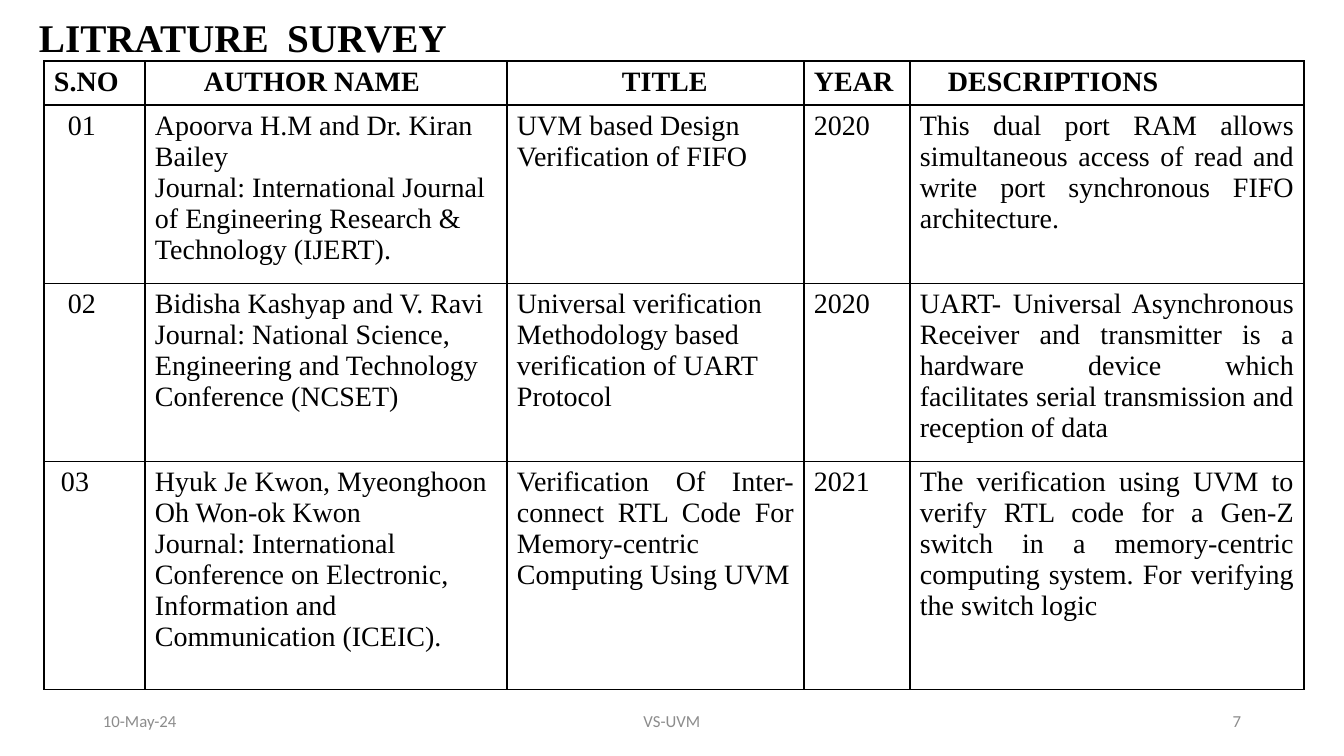
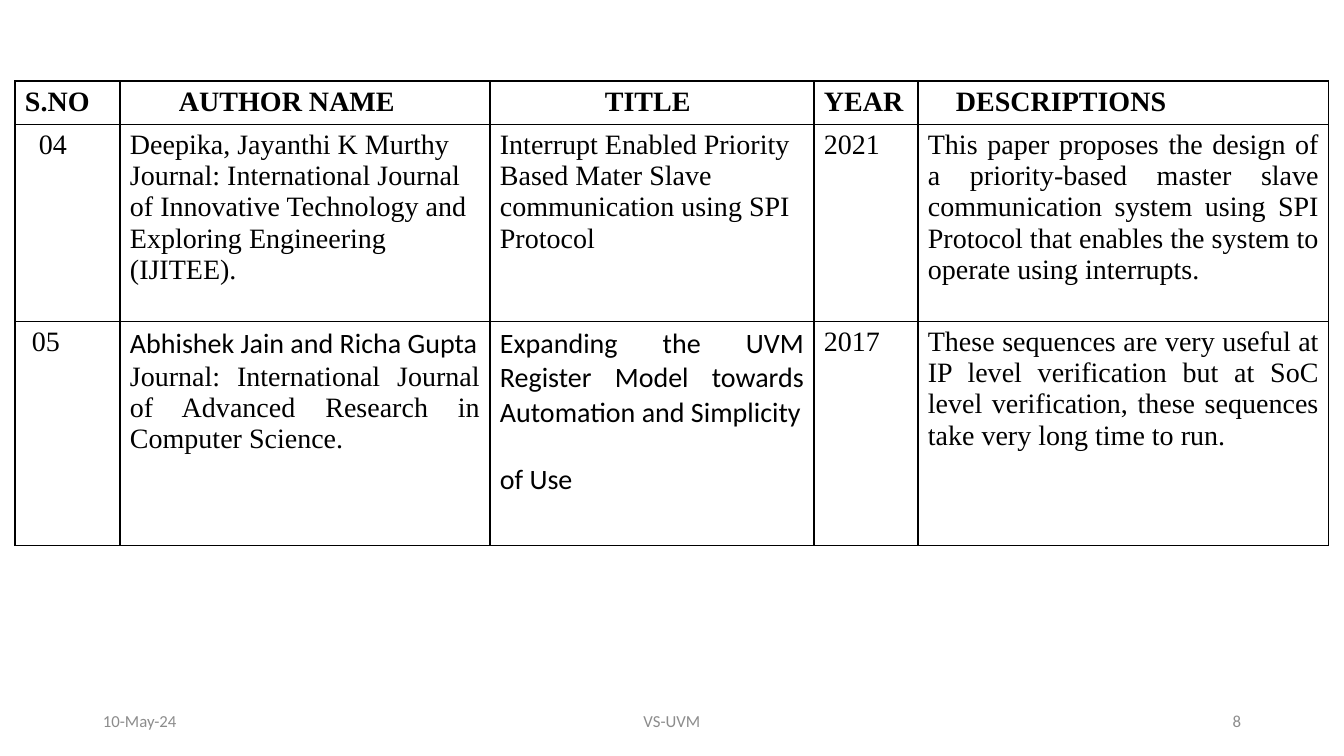
from lxml import etree
from pptx import Presentation
from pptx.dml.color import RGBColor
from pptx.enum.text import MSO_ANCHOR, PP_ALIGN
from pptx.oxml.ns import qn
from pptx.util import Emu, Pt

# Shared style
SERIF, SANS = "Times New Roman", "Calibri"
BLACK, WHITE, GREY = "000000", "FFFFFF", "8C8C8C"
LEFT, CENTER, RIGHT, JUSTIFY = PP_ALIGN.LEFT, PP_ALIGN.CENTER, PP_ALIGN.RIGHT, PP_ALIGN.JUSTIFY
SLIDE_W, SLIDE_H = 1344, 756
CELL_MARGIN = 10
FIRST_PAGE = 7

# Content: a cell is a string or a list of (text, format) paragraphs
HEADERS = ["S.NO", "AUTHOR NAME", "TITLE", "YEAR", "DESCRIPTIONS"]
HEADER_INDENTS = [0, 49, 105, 0, 28]
NUMBER_INDENTS = {"01": 14, "02": 14, "03": 7, "04": 14, "05": 7}

SLIDES = [
    {
        "title": "LITRATURE SURVEY ",
        "at": (44, 61),
        "cols": [101, 362, 297, 106, 394],
        "rows": [44, 166, 165, 228],
        "papers": [
            ["01",
             [("Apoorva H.M and Dr. Kiran Bailey", {}),
              ("Journal: International Journal of Engineering Research & Technology (IJERT).", {})],
             "UVM based Design Verification of FIFO",
             "2020",
             "This dual port RAM allows simultaneous access of read and write port "
             "synchronous FIFO architecture."],
            ["02",
             [("Bidisha Kashyap and V. Ravi", {}),
              ("Journal: National Science, Engineering and Technology Conference (NCSET)", {})],
             "Universal verification Methodology based verification of UART Protocol",
             "2020",
             "UART- Universal Asynchronous Receiver and transmitter is a hardware device "
             "which facilitates serial transmission and reception of data"],
            ["03",
             [("Hyuk Je Kwon, Myeonghoon Oh Won-ok Kwon", {}),
              ("Journal: International Conference on Electronic, Information and "
               "Communication (ICEIC).", {})],
             [("Verification Of Inter-connect RTL Code For Memory-centric Computing Using UVM",
               {"align": JUSTIFY})],
             "2021",
             "The verification using UVM to verify RTL code for a Gen-Z switch in a "
             "memory-centric computing system. For verifying the switch logic"],
        ],
    },
    {
        "title": None,
        "at": (15, 81),
        "cols": [105, 370, 324, 104, 411],
        "rows": [42, 197, 224],
        "papers": [
            ["04",
             [("Deepika, Jayanthi K Murthy", {}),
              ("Journal: International Journal of Innovative Technology and Exploring "
               "Engineering (IJITEE).", {})],
             "Interrupt Enabled Priority Based Mater Slave communication using SPI Protocol",
             "2021",
             "This paper proposes the design of a priority-based master slave communication "
             "system using SPI Protocol that enables the system to operate using interrupts."],
            ["05",
             [("Abhishek Jain and Richa Gupta", {"font": SANS}),
              ("Journal: International Journal of Advanced Research in Computer Science.",
               {"align": JUSTIFY})],
             [("Expanding the UVM Register Model towards Automation and Simplicity",
               {"font": SANS, "align": JUSTIFY}),
              ("of Use", {"font": SANS, "before": 24})],
             "2017",
             "These sequences are very useful at IP level verification but at SoC level "
             "verification, these sequences take very long time to run."],
        ],
    },
]


def px(n):
    return Emu(round(n * 914400 / 100.8))


def rgb(value):
    return RGBColor.from_string(value)


def write(tf, text, first=True, font=SERIF, size=20, color=BLACK, bold=False,
          align=LEFT, before=0, spacing=None):
    """Write one formatted paragraph into a text frame."""
    p = tf.paragraphs[0] if first else tf.add_paragraph()
    p.alignment = align
    p.space_before = Pt(before)
    if spacing:
        p.line_spacing = spacing
    r = p.add_run()
    r.text = text
    r.font.name, r.font.size, r.font.bold = font, Pt(size), bold
    r.font.color.rgb = rgb(color)


def add_text(s, text, box, **fmt):
    tf = s.shapes.add_textbox(*map(px, box)).text_frame
    tf.word_wrap = True
    tf.vertical_anchor = MSO_ANCHOR.MIDDLE
    write(tf, text, **fmt)


def style_cell(cell, indent):
    """Black 1 pt borders, white fill and an optional left indent."""
    tc_pr = cell._tc.get_or_add_tcPr()
    for side in ("lnL", "lnR", "lnT", "lnB"):
        ln = etree.SubElement(tc_pr, qn(f"a:{side}"), w=str(Pt(1)))
        fill = etree.SubElement(ln, qn("a:solidFill"))
        etree.SubElement(fill, qn("a:srgbClr"), val=BLACK)
    cell.fill.solid()
    cell.fill.fore_color.rgb = rgb(WHITE)
    cell.margin_left = px(CELL_MARGIN + indent)
    cell.margin_right = px(CELL_MARGIN)


def add_survey_table(s, at, cols, rows, papers):
    box = (*at, sum(cols), sum(rows))
    table = s.shapes.add_table(len(rows), len(cols), *map(px, box)).table
    for column, width in zip(table.columns, cols):
        column.width = px(width)
    for row, height in zip(table.rows, rows):
        row.height = px(height)
    for i, values in enumerate([HEADERS] + papers):
        for j, value in enumerate(values):
            cell = table.cell(i, j)
            is_header = i == 0
            indent = HEADER_INDENTS[j] if is_header else NUMBER_INDENTS.get(value, 0) if j == 0 else 0
            style_cell(cell, indent)
            is_description = j == len(cols) - 1 and not is_header
            base = {"bold": is_header, "align": JUSTIFY if is_description else LEFT}
            paragraphs = [(value, {})] if isinstance(value, str) else value
            for k, (text, fmt) in enumerate(paragraphs):
                write(cell.text_frame, text, first=k == 0, **{**base, **fmt})


def add_footer(s, page):
    parts = [("10-May-24", 93, 302, LEFT), ("VS-UVM", 445, 454, CENTER), (str(page), 949, 302, RIGHT)]
    for text, left, width, align in parts:
        add_text(s, text, (left, 701, width, 40), font=SANS, size=12, color=GREY, align=align)


def main():
    prs = Presentation()
    prs.slide_width, prs.slide_height = px(SLIDE_W), px(SLIDE_H)
    for page, data in enumerate(SLIDES, FIRST_PAGE):
        s = prs.slides.add_slide(prs.slide_layouts[6])
        if data["title"]:
            add_text(s, data["title"], (29, 0, 426, 80), size=28, bold=True,
                     align=JUSTIFY, spacing=0.9)
        add_survey_table(s, data["at"], data["cols"], data["rows"], data["papers"])
        add_footer(s, page)
    prs.save("out.pptx")


if __name__ == "__main__":
    main()
